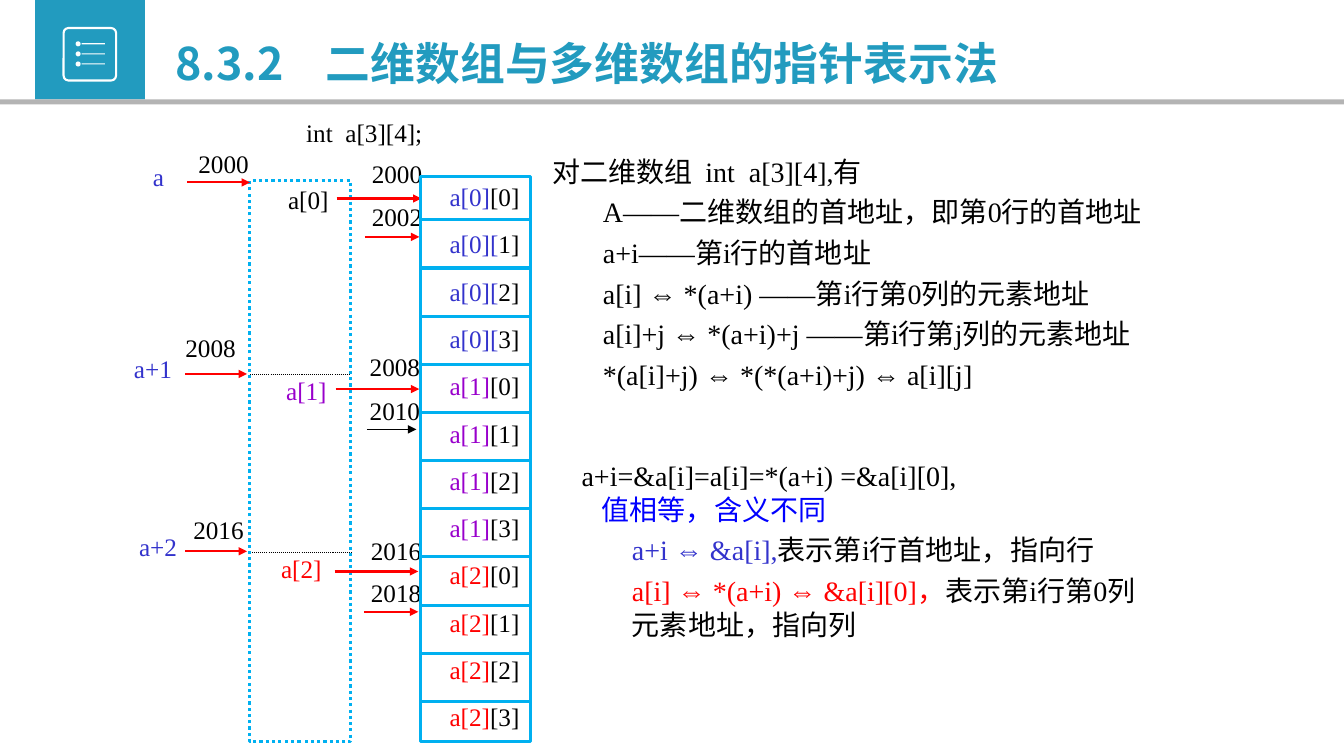
from lxml import etree
from pptx import Presentation
from pptx.dml.color import RGBColor
from pptx.enum.dml import MSO_LINE
from pptx.enum.shapes import MSO_CONNECTOR, MSO_SHAPE
from pptx.enum.text import MSO_ANCHOR, MSO_AUTO_SIZE, PP_ALIGN
from pptx.oxml.ns import qn
from pptx.util import Pt

RECT, ROUND, OVAL = MSO_SHAPE.RECTANGLE, MSO_SHAPE.ROUNDED_RECTANGLE, MSO_SHAPE.OVAL
STRAIGHT, DOTS = MSO_CONNECTOR.STRAIGHT, MSO_LINE.ROUND_DOT
TOP, LEFT = MSO_ANCHOR.TOP, PP_ALIGN.LEFT
FIXED, GROW = MSO_AUTO_SIZE.NONE, MSO_AUTO_SIZE.SHAPE_TO_FIT_TEXT

TEAL = RGBColor(0x22, 0x9B, 0xBF)
GREY = RGBColor(0xB4, 0xB4, 0xB4)
WHITE = RGBColor(0xFF, 0xFF, 0xFF)
BLACK = RGBColor(0, 0, 0)
SKY = RGBColor(0, 0xB0, 0xF0)
INDIGO = RGBColor(0x33, 0x33, 0xCC)
BLUE = RGBColor(0, 0, 0xFF)
PURPLE = RGBColor(0x99, 0, 0xCC)
RED = RGBColor(0xFF, 0, 0)

SANS, SERIF = "Noto Sans CJK SC", "Times New Roman"
SLIDE_W, SLIDE_H = 960, 540


def set_font(paragraph, size, latin, bold=False):
    font = paragraph.font
    font.size, font.name, font.bold = Pt(size), latin, bold
    defaults = paragraph._p.pPr.find(qn("a:defRPr"))
    etree.SubElement(defaults, qn("a:ea")).set("typeface", SANS)


def add_runs(paragraph, runs):
    for text, color in runs:
        run = paragraph.add_run()
        run.text = text
        run.font.color.rgb = color


def add_box(slide, kind, left, top, width, height, fill=None, line=None, weight=1.5):
    box = slide.shapes.add_shape(kind, Pt(left), Pt(top), Pt(width), Pt(height))
    box.shadow.inherit = False
    if fill is None:
        box.fill.background()
    else:
        box.fill.solid()
        box.fill.fore_color.rgb = fill
    if line is None:
        box.line.fill.background()
    else:
        box.line.color.rgb = line
        box.line.width = Pt(weight)
    return box


def add_rule(slide, start, end, y, color, weight, arrow=False):
    """Horizontal line, with an arrowhead at its end if asked for."""
    rule = slide.shapes.add_connector(STRAIGHT, Pt(start), Pt(y), Pt(end), Pt(y))
    rule.line.color.rgb = color
    rule.line.width = Pt(weight)
    if arrow:
        etree.SubElement(rule.line._get_or_add_ln(), qn("a:tailEnd")).set("type", "triangle")
    etree.SubElement(rule._element.spPr, qn("a:effectLst"))
    return rule


def add_label(slide, left, top, width, *runs):
    label = slide.shapes.add_textbox(Pt(left), Pt(top), Pt(width), Pt(29))
    frame = label.text_frame
    frame.word_wrap = False
    frame.auto_size = GROW
    add_runs(frame.paragraphs[0], runs)
    set_font(frame.paragraphs[0], 18, SERIF)


def place(placeholder, left, top, width, height):
    placeholder.left, placeholder.top = Pt(left), Pt(top)
    placeholder.width, placeholder.height = Pt(width), Pt(height)
    frame = placeholder.text_frame
    frame.word_wrap = True
    frame.auto_size = FIXED
    frame.vertical_anchor = TOP
    return frame


def build_header(slide, left, top, width, height):
    # Badge with list icon
    add_box(slide, RECT, left + 25, top, 78.5, height, TEAL)
    frame = add_box(slide, ROUND, left + 45.4, top + 20, 37.5, 37.5, line=WHITE)
    frame.adjustments[0] = 0.095
    for row in range(3):
        y = top + 29.5 + 7.2 * row
        add_box(slide, OVAL, left + 54, y, 3.6, 3.6, WHITE)
        add_box(slide, RECT, left + 58.3, y + 1.4, 16.6, 0.8, WHITE)
    add_box(slide, RECT, left, top + height, width, 3.6, GREY)
    # Title, with a tab stop after the section number
    title = place(slide.shapes.title, left + 118, top + 21.6, 620, 46)
    heading = title.paragraphs[0]
    heading.alignment = LEFT
    stops = etree.SubElement(heading._p.get_or_add_pPr(), qn("a:tabLst"))
    etree.SubElement(stops, qn("a:tab"), pos=str(Pt(107.5)), algn="l")
    add_runs(heading, [("8.3.2\t二维数组与多维数组的指针表示法", TEAL)])
    set_font(heading, 32, SANS, bold=True)


def build_notes(placeholder, box, lines):
    """Each line is (indent, space before, runs)."""
    frame = place(placeholder, *box)
    for number, (indent, space, runs) in enumerate(lines):
        line = frame.add_paragraph() if number else frame.paragraphs[0]
        properties = line._p.get_or_add_pPr()
        properties.set("marL", str(Pt(indent)))
        properties.set("indent", "0")
        line.line_spacing = Pt(24)
        line.space_before = Pt(space)
        etree.SubElement(properties, qn("a:buNone"))
        add_runs(line, runs)
        set_font(line, 20, SERIF)


def build_pointer_diagram(slide, left, top):
    add_label(slide, left + 123.7, top + 0.6, 98.6, ("int  a[3][4];", BLACK))

    # Row pointer column
    pointers = add_box(slide, RECT, left + 90.5, top + 49, 72, 401, line=SKY, weight=2.25)
    pointers.line.dash_style = DOTS
    for x, y in ((90.5, 187.8), (92, 314.6)):
        divider = add_rule(slide, left + x, left + x + 72, top + y, BLACK, 0.75)
        divider.line.dash_style = DOTS

    # Labels: text, colour, x, y, width
    for text, color, x, y, width in (
            ("a", INDIGO, 14.2, 31.6, 22.3), ("a+1", INDIGO, 0.6, 169.1, 41.8),
            ("a+2", INDIGO, 4.2, 295.8, 41.8),
            ("2000", BLACK, 46.6, 22.2, 51), ("2008", BLACK, 37.3, 154, 51),
            ("2016", BLACK, 43, 283.6, 51),
            ("a[0]", BLACK, 110.7, 48.2, 44), ("a[1]", PURPLE, 109.3, 184.2, 44),
            ("a[2]", RED, 105.7, 311.7, 44),
            ("2000", BLACK, 170.5, 29.4, 51), ("2002", BLACK, 170.5, 60.4, 51),
            ("2008", BLACK, 169, 167.7, 51), ("2010", BLACK, 169, 198.6, 51),
            ("2016", BLACK, 169.8, 298.7, 51), ("2018", BLACK, 169.8, 329, 51)):
        add_label(slide, left + x, top + y, width, (text, color))

    # Arrows: start, end, y, colour, weight
    for start, end, y, color, weight in (
            (45.9, 90.6, 50.3, RED, 1.5), (44.5, 88.4, 187.1, RED, 1.5),
            (44.5, 88.4, 313.8, RED, 1.5),
            (152.5, 213, 61.8, RED, 1.5), (151.8, 211.5, 197.9, RED, 1.5),
            (151, 210.8, 328.2, RED, 1.5),
            (172.6, 211.5, 89.2, RED, 1.5), (174, 209.4, 226.7, BLACK, 0.75),
            (172, 210.8, 357, RED, 1.5)):
        add_rule(slide, left + start, left + end, top + y, color, weight, arrow=True)

    # Element column, 3 rows of 4 cells
    add_box(slide, RECT, left + 212.2, top + 46, 78.5, 404, line=SKY, weight=2.25)
    for cell in range(11):
        add_rule(slide, left + 212.2, left + 291.4, top + 77 + 34.4 * cell, SKY, 2.25)
    for row, color in enumerate((INDIGO, PURPLE, RED)):
        for column in range(4):
            element = f"a[{row}][{column}]"
            split = 5 if row == 0 and column else 4
            add_label(slide, left + 226, top + 46 + 33.78 * (4 * row + column), 65,
                      (element[:split], color), (element[split:], BLACK))


def main():
    deck = Presentation()
    deck.slide_width, deck.slide_height = Pt(SLIDE_W), Pt(SLIDE_H)
    slide = deck.slides.add_slide(deck.slide_layouts[3])
    build_header(slide, 0, 0, SLIDE_W, 71)
    build_notes(slide.placeholders[1], (279.4, 106.6, 576.7, 187), [
        (108, 0, [("对二维数组  int  a[3][4],有", BLACK)]),
        (144, 5, [("A——二维数组的首地址，即第0行的首地址", BLACK)]),
        (144, 5, [("a+i——第i行的首地址", BLACK)]),
        (144, 5, [("a[i] ⇔ *(a+i) ——第i行第0列的元素地址", BLACK)]),
        (144, 5, [("a[i]+j ⇔ *(a+i)+j ——第i行第j列的元素地址", BLACK)]),
        (144, 5, [("*(a[i]+j) ⇔ *(*(a+i)+j) ⇔ a[i][j]", BLACK)]),
    ])
    build_notes(slide.placeholders[2], (300.2, 324, 526.3, 120), [
        (108, 0, [("a+i=&a[i]=a[i]=*(a+i) =&a[i][0],", BLACK)]),
        (122.5, 0, [("值相等，含义不同", BLUE)]),
        (144, 5, [("a+i ⇔ &a[i],", INDIGO), ("表示第i行首地址，指向行", BLACK)]),
        (144, 5, [("a[i] ⇔ *(a+i) ⇔ &a[i][0]，", RED),
                  ("表示第i行第0列元素地址，指向列", BLACK)]),
    ])
    build_pointer_diagram(slide, 88, 80)
    deck.save("out.pptx")


if __name__ == "__main__":
    main()
